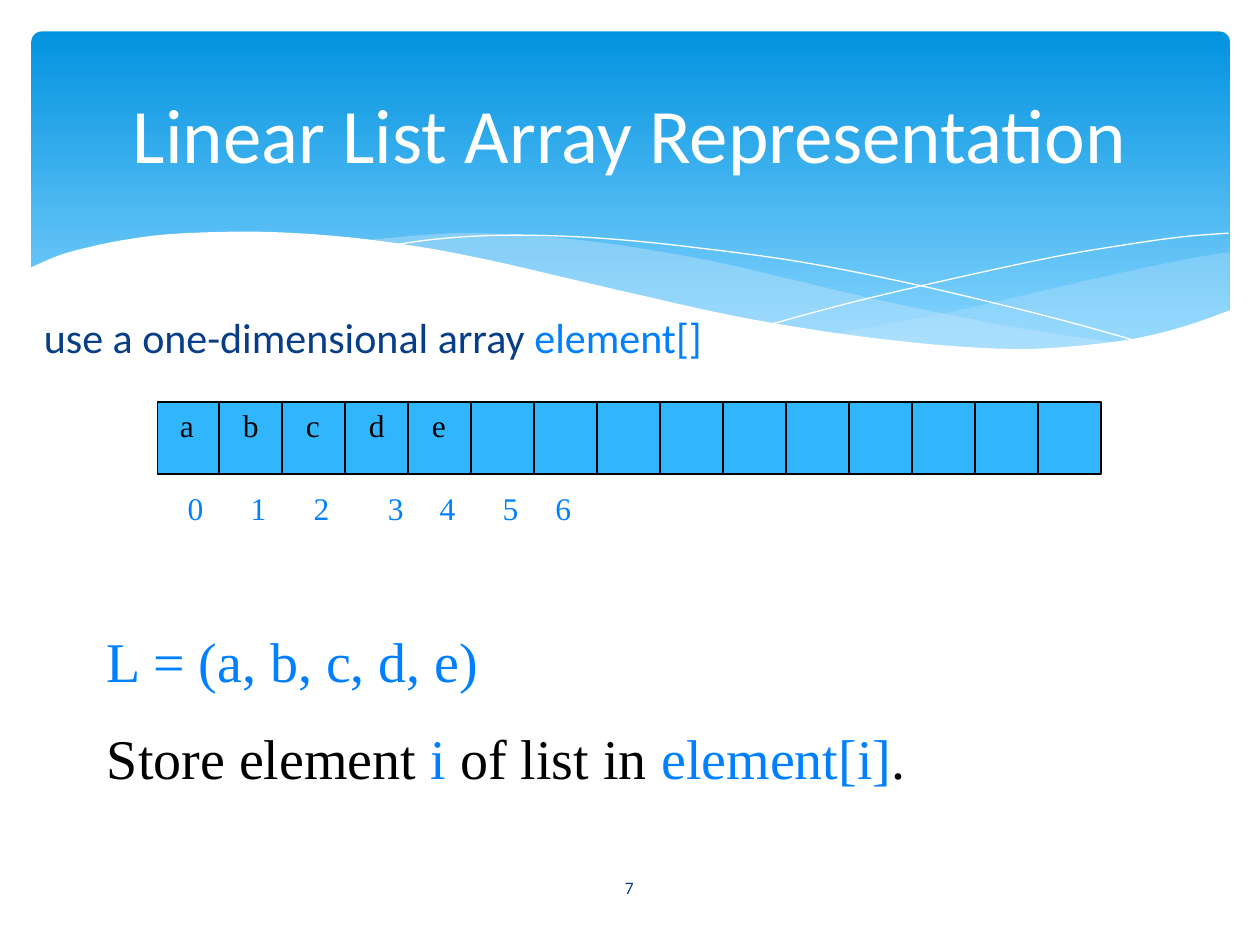
"""Build the slide on the array representation of a linear list."""
from lxml import etree
from pptx import Presentation
from pptx.dml.color import RGBColor
from pptx.enum.shapes import MSO_CONNECTOR, MSO_SHAPE
from pptx.enum.text import MSO_ANCHOR, MSO_AUTO_SIZE, PP_ALIGN
from pptx.oxml.ns import qn
from pptx.util import Inches, Pt

RECT, ROUNDED, STRAIGHT = MSO_SHAPE.RECTANGLE, MSO_SHAPE.ROUNDED_RECTANGLE, MSO_CONNECTOR.STRAIGHT
TOP, MIDDLE = MSO_ANCHOR.TOP, MSO_ANCHOR.MIDDLE
LEFT, CENTER = PP_ALIGN.LEFT, PP_ALIGN.CENTER
FIT, FIXED = MSO_AUTO_SIZE.SHAPE_TO_FIT_TEXT, MSO_AUTO_SIZE.NONE

THEME = {
    "sans": "Calibri", "serif": "Times New Roman",
    "title": 44, "statement": 32, "body": 24, "label": 18, "number": 10,
    "white": "FFFFFF", "black": "000000", "navy": "073E87", "accent": "0080FF",
    "cell": "31B6FD", "sky": "0293E0", "pale": "83D3FE", "mist": "C6E7FC",
}

TITLE = [("Linear List Array Representation", "white")]
INTRO = [("use a one-dimensional array ", "navy"), ("element[]", "accent")]
STATEMENTS = [
    [("L = (a, b, c, d, e)", "accent")],
    [("Store element ", "black"), ("i", "accent"), (" of list in ", "black"),
     ("element[i]", "accent"), (".", "black")],
]
SLIDE_NUMBER = [("7", "navy")]
ELEMENTS = "abcde"
INDEX_LEFTS = [1.39, 1.89, 2.39, 2.98, 3.39, 3.89, 4.31]
CELL_COUNT, CELL_WIDTH, ARRAY_LEFT, ARRAY_TOP = 15, 0.5, 1.25, 3.19

VEILS = [
    (29, [[(9.76, 2), (9.35, 2.07), (8.61, 2.23), (7.53, 2.48), (6.61, 2.65)],
          [(6.61, 2.65), (7.19, 2.72), (7.69, 2.77), (8.14, 2.78), (8.63, 2.75),
           (9.13, 2.67), (9.49, 2.57), (9.76, 2.47)]]),
    (40, [[(8.93, 2.73), (8.07, 2.6), (7.06, 2.4), (6.29, 2.22), (5.69, 2.08),
           (5.14, 1.98), (4.65, 1.91), (4.2, 1.87), (3.61, 1.85), (2.86, 1.91)],
          [(2.86, 1.91), (3.62, 2.03), (4.49, 2.22), (5.3, 2.4), (6.01, 2.55),
           (6.65, 2.66), (7.22, 2.74), (7.73, 2.77), (8.28, 2.78), (8.93, 2.73)]]),
]
WAVE_LINES = [
    [(3.09, 1.95), (3.44, 1.9), (3.87, 1.87), (4.33, 1.87), (4.89, 1.9), (5.56, 1.97),
     (6.36, 2.08), (7.27, 2.26), (8.31, 2.51), (9.07, 2.72)],
    [(6.13, 2.57), (6.72, 2.41), (7.48, 2.23), (8.36, 2.04), (8.95, 1.94),
     (9.38, 1.88), (9.75, 1.85)],
]
WHITE_WAVE = [
    [(9.77, 2.46), (9.4, 2.59), (8.99, 2.69), (8.5, 2.75), (8.09, 2.77), (7.61, 2.75),
     (7.08, 2.7), (6.48, 2.62), (5.79, 2.5), (5.03, 2.33), (4.47, 2.2), (3.91, 2.07),
     (3.4, 1.97), (2.92, 1.9), (2.5, 1.86), (2.11, 1.84), (1.77, 1.84), (1.32, 1.86),
     (0.95, 1.91), (0.67, 1.97), (0.46, 2.03), (0.23, 2.13)],
    [(0.23, 3.29), (9.77, 3.29)],
]


def color(name):
    return RGBColor.from_string(THEME[name])


def smooth(points, steps=5):
    """Sample a Catmull-Rom curve through the points."""
    padded = [points[0], *points, points[-1]]
    curve = [points[0]]
    for a, b, c, d in zip(padded, padded[1:], padded[2:], padded[3:]):
        for t in (k / steps for k in range(1, steps + 1)):
            curve.append(tuple(
                (2 * q + (r - p) * t + (2 * p - 5 * q + 4 * r - s) * t ** 2
                 + (3 * q - p - 3 * r + s) * t ** 3) / 2
                for p, q, r, s in zip(a, b, c, d)))
    return curve


def add_wave(slide, curves, fill=None, opacity=None):
    """Draw a filled outline, or an open white line when there is no fill."""
    points = [(Inches(x), Inches(y)) for curve in curves for x, y in smooth(curve)]
    builder = slide.shapes.build_freeform(*points[0])
    builder.add_line_segments(points[1:], close=fill is not None)
    sp = builder.convert_to_shape()
    sp.shadow.inherit = False
    if fill is None:
        sp.fill.background()
        sp.line.color.rgb = color("white")
        sp.line.width = Pt(0)
        return
    sp.fill.solid()
    sp.fill.fore_color.rgb = color(fill)
    sp.line.fill.background()
    if opacity:
        clr = sp.fill._xPr.find(qn("a:solidFill"))[0]
        etree.SubElement(clr, qn("a:alpha")).set("val", str(opacity * 1000))


def add_text(slide, box, paragraphs, font, size, align=LEFT, anchor=TOP,
             wrap=True, fit=FIXED, gap=0):
    """Add a text box whose paragraphs are lists of (text, colour) runs."""
    tf = slide.shapes.add_textbox(*map(Inches, box)).text_frame
    tf.word_wrap, tf.auto_size, tf.vertical_anchor = wrap, fit, anchor
    for i, runs in enumerate(paragraphs):
        p = tf.add_paragraph() if i else tf.paragraphs[0]
        p.alignment = align
        p.font.name, p.font.size = THEME[font], Pt(THEME[size])
        if i:
            p.space_before = Pt(gap)
        for text, tone in runs:
            r = p.add_run()
            r.text = text
            r.font.color.rgb = color(tone)


def add_header(slide):
    sp = slide.shapes.add_shape(ROUNDED, *map(Inches, (0.25, 0.25, 9.51, 2.7)))
    sp.adjustments[0] = 0.03
    sp.shadow.inherit = False
    sp.line.fill.background()
    sp.fill.gradient()
    sp.fill.gradient_angle = 270
    for stop, tone, position in zip(sp.fill.gradient_stops, ("sky", "pale"), (0, 0.9)):
        stop.color.rgb, stop.position = color(tone), position
    for opacity, curves in VEILS:
        add_wave(slide, curves, "mist", opacity)
    for curve in WAVE_LINES:
        add_wave(slide, [curve])
    add_wave(slide, WHITE_WAVE, "white")


def add_array(slide):
    sp = slide.shapes.add_shape(RECT, Inches(ARRAY_LEFT), Inches(ARRAY_TOP),
                                Inches(CELL_COUNT * CELL_WIDTH - 0.01), Inches(0.57))
    sp.shadow.inherit = False
    sp.fill.solid()
    sp.fill.fore_color.rgb = color("cell")
    sp.line.color.rgb, sp.line.width = color("black"), Pt(1)
    for i in range(1, CELL_COUNT):
        x = Inches(ARRAY_LEFT - 0.01 + i * CELL_WIDTH)
        divider = slide.shapes.add_connector(STRAIGHT, x, Inches(3.18), x, Inches(3.77))
        divider.line.color.rgb, divider.line.width = color("black"), Pt(1)
        etree.SubElement(divider._element.spPr, qn("a:effectLst"))
    labels = [(text, 1.33 + i * CELL_WIDTH, 3.17, "black") for i, text in enumerate(ELEMENTS)]
    labels += [(str(i), x, 3.83, "accent") for i, x in enumerate(INDEX_LEFTS)]
    for text, x, y, tone in labels:
        add_text(slide, (x, y, 0.36, 0.5), [[(text, tone)]], "serif", "label",
                 wrap=False, fit=FIT)


def main():
    prs = Presentation()
    prs.slide_width, prs.slide_height = Inches(10), Inches(7.5)
    slide = prs.slides.add_slide(prs.slide_layouts[6])
    add_header(slide)
    add_array(slide)
    add_text(slide, (0.25, 2.42, 9.5, 5), [INTRO], "sans", "body")
    add_text(slide, (0.5, 0.37, 9, 1.37), [TITLE], "sans", "title", CENTER, MIDDLE)
    add_text(slide, (0.75, 4.92, 7.92, 1.43), STATEMENTS, "serif", "statement",
             fit=FIT, gap=17)
    add_text(slide, (4.36, 6.84, 1.27, 0.4), [SLIDE_NUMBER], "sans", "number", CENTER, MIDDLE)
    prs.save("out.pptx")


if __name__ == "__main__":
    main()
